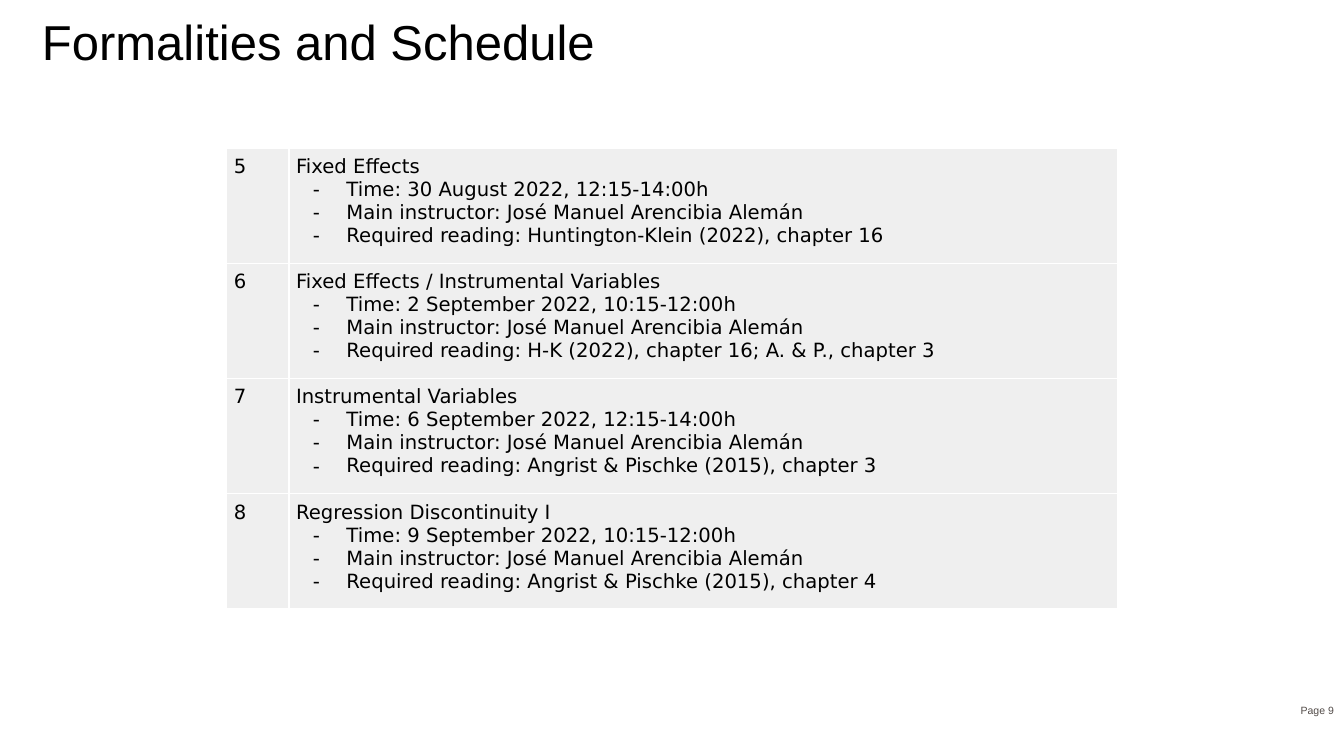
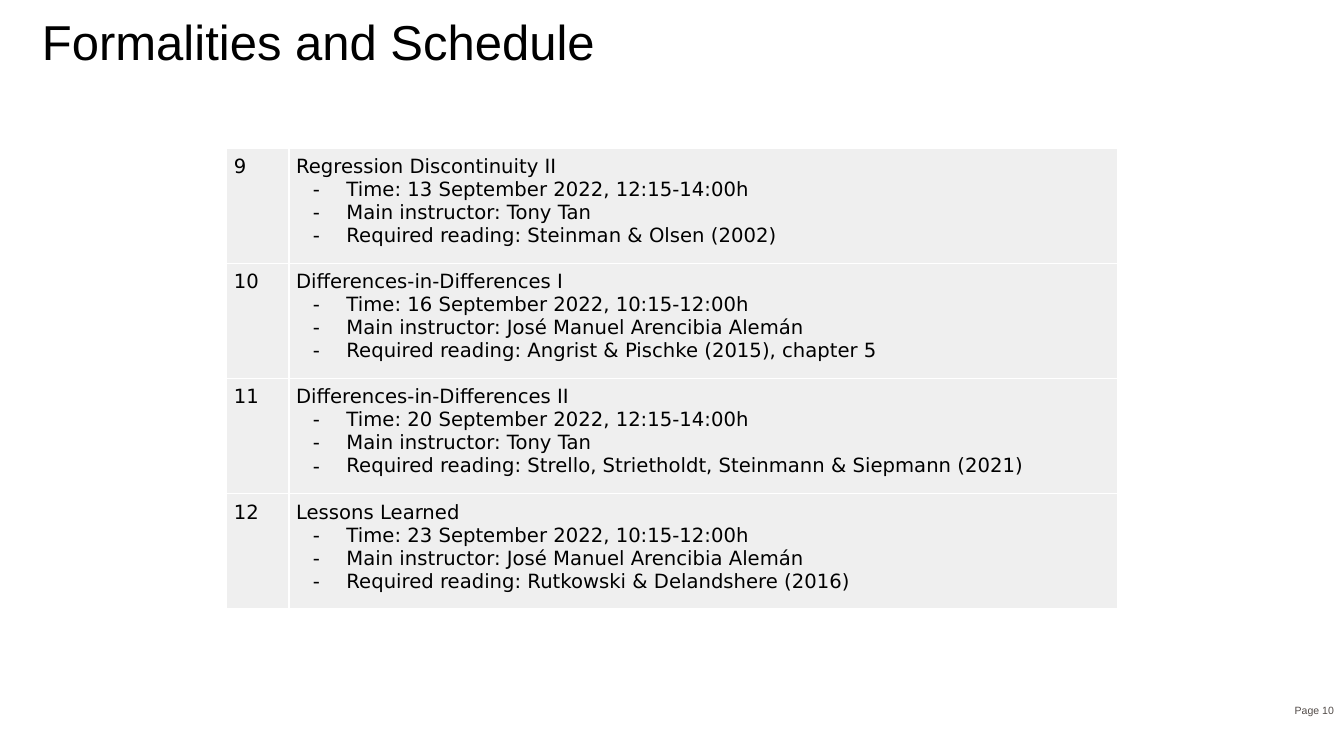
from dataclasses import dataclass

from lxml import etree
from pptx import Presentation
from pptx.dml.color import RGBColor
from pptx.enum import text
from pptx.oxml import ns
from pptx.util import Pt

BLACK, GREY, CELL_GREY, WHITE = "000000", "524B48", "EFEFEF", "FFFFFF"
HEADING_FONT, TABLE_FONT = "Arial", "DejaVu Sans"
TITLE = "Formalities and Schedule"
COLUMN_WIDTHS = (44.5, 592)
ROW_HEIGHT = 82.25
CELL_MARGIN = 5
ALEMAN = "José Manuel Arencibia Alemán"
TAN = "Tony Tan"


@dataclass(frozen=True)
class Session:
    topic: str
    time: str
    instructor: str
    reading: str

    def details(self) -> tuple[str, ...]:
        return (
            f"Time: {self.time}",
            f"Main instructor: {self.instructor}",
            f"Required reading: {self.reading}",
        )


@dataclass(frozen=True)
class SchedulePage:
    number: int
    first_session: int
    sessions: tuple[Session, ...]


PAGES = (
    SchedulePage(9, 5, (
        Session("Fixed Effects", "30 August 2022, 12:15-14:00h", ALEMAN,
                "Huntington-Klein (2022), chapter 16"),
        Session("Fixed Effects / Instrumental Variables",
                "2 September 2022, 10:15-12:00h", ALEMAN,
                "H-K (2022), chapter 16; A. & P., chapter 3"),
        Session("Instrumental Variables", "6 September 2022, 12:15-14:00h", ALEMAN,
                "Angrist & Pischke (2015), chapter 3"),
        Session("Regression Discontinuity I", "9 September 2022, 10:15-12:00h", ALEMAN,
                "Angrist & Pischke (2015), chapter 4"),
    )),
    SchedulePage(10, 9, (
        Session("Regression Discontinuity II", "13 September 2022, 12:15-14:00h", TAN,
                "Steinman & Olsen (2002)"),
        Session("Differences-in-Differences I", "16 September 2022, 10:15-12:00h", ALEMAN,
                "Angrist & Pischke (2015), chapter 5"),
        Session("Differences-in-Differences II", "20 September 2022, 12:15-14:00h", TAN,
                "Strello, Strietholdt, Steinmann & Siepmann (2021)"),
        Session("Lessons Learned", "23 September 2022, 10:15-12:00h", ALEMAN,
                "Rutkowski & Delandshere (2016)"),
    )),
)


def rgb(color: str) -> RGBColor:
    return RGBColor.from_string(color)


def set_font(paragraph, name: str, size: float, color: str) -> None:
    paragraph.font.name = name
    paragraph.font.size = Pt(size)
    paragraph.font.color.rgb = rgb(color)


def set_margins(holder, margin: float) -> None:
    holder.margin_left = holder.margin_right = Pt(margin)
    holder.margin_top = holder.margin_bottom = Pt(margin)


def add_dash(paragraph) -> None:
    """Give the paragraph a hanging dash as its bullet."""
    properties = paragraph._p.get_or_add_pPr()
    properties.set("marL", str(Pt(36)))
    properties.set("indent", str(Pt(-24)))
    etree.SubElement(properties, ns.qn("a:buFont"), typeface=TABLE_FONT)
    etree.SubElement(properties, ns.qn("a:buChar"), char="-")


def add_borders(cell) -> None:
    properties = cell._tc.get_or_add_tcPr()
    for position, side in enumerate(("lnL", "lnR", "lnT", "lnB")):
        border = etree.Element(ns.qn(f"a:{side}"), w=str(Pt(1)))
        fill = etree.SubElement(border, ns.qn("a:solidFill"))
        etree.SubElement(fill, ns.qn("a:srgbClr"), val=WHITE)
        properties.insert(position, border)


def fill_cell(cell, heading: str, details: tuple[str, ...] = ()) -> None:
    set_margins(cell, CELL_MARGIN)
    cell.fill.solid()
    cell.fill.fore_color.rgb = rgb(CELL_GREY)
    add_borders(cell)
    cell.text_frame.text = "\n".join((heading, *details))
    for index, paragraph in enumerate(cell.text_frame.paragraphs):
        if index:
            add_dash(paragraph)
        set_font(paragraph, TABLE_FONT, 14, BLACK)


def add_title(slide) -> None:
    frame = slide.shapes.add_textbox(Pt(30), Pt(13), Pt(900), Pt(59)).text_frame
    frame.word_wrap = True
    set_margins(frame, 0)
    title = frame.paragraphs[0]
    title.text = TITLE
    title.line_spacing = 0.9
    set_font(title, HEADING_FONT, 35, BLACK)


def add_page_number(slide, number: int) -> None:
    frame = slide.shapes.add_textbox(Pt(912.5), Pt(493), Pt(47.5), Pt(29)).text_frame
    frame.word_wrap = True
    frame.vertical_anchor = text.MSO_ANCHOR.MIDDLE
    label = frame.paragraphs[0]
    label.text = f"Page {number}"
    label.alignment = text.PP_ALIGN.RIGHT
    set_font(label, HEADING_FONT, 7.5, GREY)


def add_schedule(slide, page: SchedulePage) -> None:
    row_count = len(page.sessions)
    schedule = slide.shapes.add_table(
        row_count, len(COLUMN_WIDTHS), Pt(162), Pt(106),
        Pt(sum(COLUMN_WIDTHS)), Pt(row_count * ROW_HEIGHT),
    ).table
    schedule.first_row = schedule.horz_banding = False
    for column, width in zip(schedule.columns, COLUMN_WIDTHS):
        column.width = Pt(width)
    for index, session in enumerate(page.sessions):
        schedule.rows[index].height = Pt(ROW_HEIGHT)
        fill_cell(schedule.cell(index, 0), str(page.first_session + index))
        fill_cell(schedule.cell(index, 1), session.topic, session.details())


def main() -> None:
    deck = Presentation()
    deck.slide_width, deck.slide_height = Pt(960), Pt(540)
    blank = deck.slide_layouts[6]
    for page in PAGES:
        slide = deck.slides.add_slide(blank)
        add_title(slide)
        add_page_number(slide, page.number)
        add_schedule(slide, page)
    deck.save("out.pptx")


if __name__ == "__main__":
    main()
